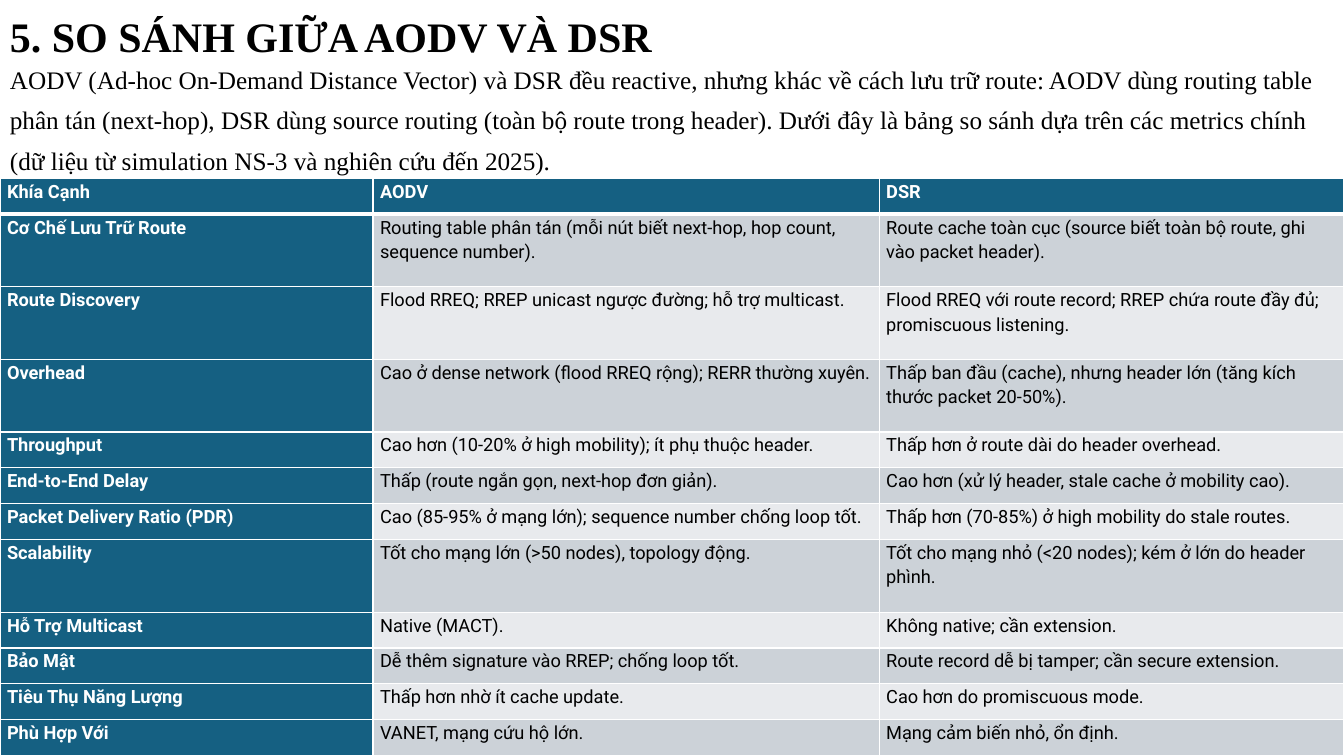
import lxml.etree
import pptx
import pptx.dml.color
import pptx.enum.text
import pptx.oxml
import pptx.oxml.ns
import pptx.util

WIDTH, HEIGHT = 13.33, 7.5
TABLE_TOP = 1.77
COLUMNS = [3.7, 5.02, 4.61]
TALL_ROW = 0.72
TEAL, GREY, PALE = "156082", "CCD2D8", "E8EAED"
WHITE, BLACK = "FFFFFF", "000000"

TITLE = "5. SO SÁNH GIỮA AODV VÀ DSR"
INTRO = (
    "AODV (Ad-hoc On-Demand Distance Vector) và DSR đều reactive, nhưng khác về cách lưu trữ route: "
    "AODV dùng routing table phân tán (next-hop), DSR dùng source routing (toàn bộ route trong header). "
    "Dưới đây là bảng so sánh dựa trên các metrics chính "
    "(dữ liệu từ simulation NS-3 và nghiên cứu đến 2025)."
)
ROWS = [
    ("Khía Cạnh", "AODV", "DSR"),
    ("Cơ Chế Lưu Trữ Route",
     "Routing table phân tán (mỗi nút biết next-hop, hop count, sequence number).",
     "Route cache toàn cục (source biết toàn bộ route, ghi vào packet header)."),
    ("Route Discovery",
     "Flood RREQ; RREP unicast ngược đường; hỗ trợ multicast.",
     "Flood RREQ với route record; RREP chứa route đầy đủ; promiscuous listening."),
    ("Overhead",
     "Cao ở dense network (flood RREQ rộng); RERR thường xuyên.",
     "Thấp ban đầu (cache), nhưng header lớn (tăng kích thước packet 20-50%)."),
    ("Throughput",
     "Cao hơn (10-20% ở high mobility); ít phụ thuộc header.",
     "Thấp hơn ở route dài do header overhead."),
    ("End-to-End Delay",
     "Thấp (route ngắn gọn, next-hop đơn giản).",
     "Cao hơn (xử lý header, stale cache ở mobility cao)."),
    ("Packet Delivery Ratio (PDR)",
     "Cao (85-95% ở mạng lớn); sequence number chống loop tốt.",
     "Thấp hơn (70-85%) ở high mobility do stale routes."),
    ("Scalability",
     "Tốt cho mạng lớn (>50 nodes), topology động.",
     "Tốt cho mạng nhỏ (<20 nodes); kém ở lớn do header phình."),
    ("Hỗ Trợ Multicast", "Native (MACT).", "Không native; cần extension."),
    ("Bảo Mật",
     "Dễ thêm signature vào RREP; chống loop tốt.",
     "Route record dễ bị tamper; cần secure extension."),
    ("Tiêu Thụ Năng Lượng", "Thấp hơn nhờ ít cache update.", "Cao hơn do promiscuous mode."),
    ("Phù Hợp Với", "VANET, mạng cứu hộ lớn.", "Mạng cảm biến nhỏ, ổn định."),
]
TALL_ROWS = {1, 2, 3, 7}


def color(value):
    return pptx.dml.color.RGBColor.from_string(value)


def write(tf, text, font, size, fill, bold, spacing):
    tf.word_wrap = True
    p = tf.paragraphs[0]
    p.text = text
    p.line_spacing = spacing
    p.font.name = font
    p.font.size = pptx.util.Pt(size)
    p.font.bold = bold
    p.font.color.rgb = color(fill)


def add_text(s, box, text, size, bold=False):
    sp = s.shapes.add_textbox(*map(pptx.util.Inches, box))
    sp.text_frame.auto_size = pptx.enum.text.MSO_AUTO_SIZE.SHAPE_TO_FIT_TEXT
    write(sp.text_frame, text, "Times New Roman", size, BLACK, bold, 1.35)


def set_borders(cell, top, bottom):
    """Draw white cell borders; top and bottom are widths in points."""
    tc_pr = cell._tc.get_or_add_tcPr()
    sides = (("lnL", 1), ("lnR", 1), ("lnT", top), ("lnB", bottom))
    for i, (side, width) in enumerate(sides):
        ln = pptx.oxml.parse_xml(
            f'<a:{side} {pptx.oxml.ns.nsdecls("a")} w="{pptx.util.Pt(width)}">'
            f'<a:solidFill><a:srgbClr val="{WHITE}"/></a:solidFill></a:{side}>')
        tc_pr.insert(i, ln)


def add_comparison(s, box):
    frame = s.shapes.add_table(len(ROWS), len(COLUMNS), *map(pptx.util.Inches, box))
    table = frame.table
    short_row = (box[3] - TALL_ROW * len(TALL_ROWS)) / (len(ROWS) - len(TALL_ROWS))
    for column, width in zip(table.columns, COLUMNS):
        column.width = pptx.util.Inches(width)
    for i, texts in enumerate(ROWS):
        table.rows[i].height = pptx.util.Inches(TALL_ROW if i in TALL_ROWS else short_row)
        for j, text in enumerate(texts):
            cell = table.cell(i, j)
            heading = i == 0 or j == 0
            cell.margin_left = cell.margin_right = pptx.util.Inches(0.07)
            cell.margin_top = cell.margin_bottom = 0
            cell.fill.solid()
            cell.fill.fore_color.rgb = color(TEAL if heading else GREY if i % 2 else PALE)
            set_borders(cell, top=3 if i == 1 else 1, bottom=3 if i == 0 else 1)
            write(cell.text_frame, text, "Roboto", 13, WHITE if heading else BLACK, heading, 1.15)


def main():
    prs = pptx.Presentation()
    prs.slide_width = pptx.util.Inches(WIDTH)
    prs.slide_height = pptx.util.Inches(HEIGHT)
    s = prs.slides.add_slide(prs.slide_layouts[6])
    add_text(s, (0, -0.12, 8.43, 0.72), TITLE, 30, bold=True)
    add_text(s, (0, 0.48, WIDTH, 1.29), INTRO, 18)
    add_comparison(s, (0, TABLE_TOP, WIDTH, HEIGHT - TABLE_TOP))
    prs.save("out.pptx")


if __name__ == "__main__":
    main()
